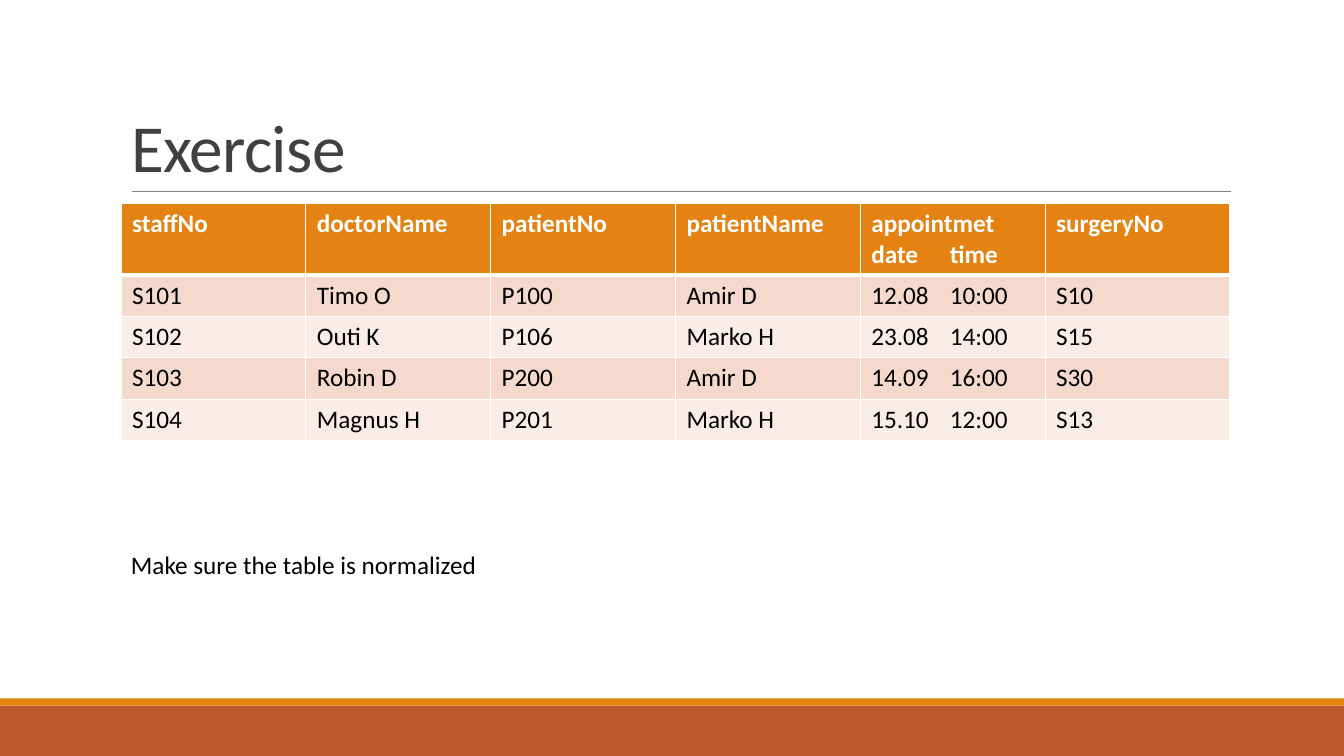
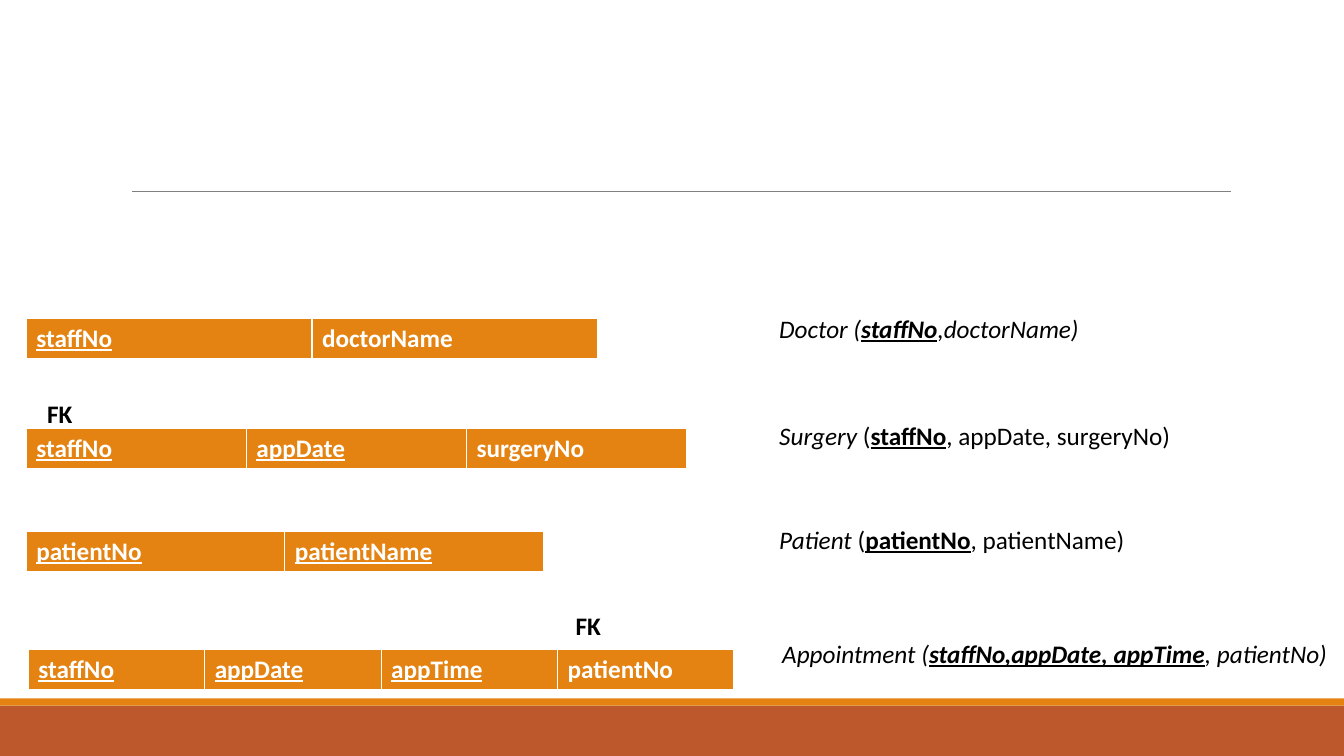
import pptx
import pptx.util
import pptx.dml.color
import pptx.enum.shapes
import pptx.enum.text
import pptx.oxml.ns
from lxml import etree

Inches = pptx.util.Inches
Pt = pptx.util.Pt
qn = pptx.oxml.ns.qn

FONT = "Calibri"
BLACK, WHITE, GREY, DARK = "000000", "FFFFFF", "808080", "404040"
ORANGE, RUST = "E48312", "BD582C"
BANDS = ("F5D9CC", "FAEDE7")
ROW = 0.41

VISITS = [
    ["staffNo", "doctorName", "patientNo", "patientName",
     "appointmet\ndate\ttime", "surgeryNo"],
    ["S101", "Timo O", "P100", "Amir D", "12.08\t10:00", "S10"],
    ["S102", "Outi K", "P106", "Marko H", "23.08\t14:00", "S15"],
    ["S103", "Robin D", "P200", "Amir D", "14.09\t16:00", "S30"],
    ["S104", "Magnus H", "P201", "Marko H", "15.10\t12:00", "S13"],
]

KEY = {"bold": True, "under": True}
SLANT = {"ital": True}
SLANTKEY = {**KEY, **SLANT}

HEADS = [
    (0.26, 3.16, 5.67, ["staffNo", "doctorName"], 1),
    (0.26, 4.25, 6.55, ["staffNo", "appDate", "surgeryNo"], 2),
    (0.26, 5.27, 5.13, ["patientNo", "patientName"], 2),
    (0.28, 6.44, 7, ["staffNo", "appDate", "appTime", "patientNo"], 3),
]

NOTES = [
    (0.37, 3.9, 0.96, [("FK", {"bold": True})]),
    (5.61, 6.01, 0.64, [("FK", {"bold": True})]),
    (7.63, 3.06, 4.79, [("Doctor (", SLANT), ("staffNo", SLANTKEY),
                        (",doctorName)", SLANT)]),
    (7.63, 4.12, 5.93, [("Surgery", SLANT), (" (", {}), ("staffNo", KEY),
                        (", appDate, surgeryNo)", {})]),
    (7.63, 5.15, 5.52, [("Patient", SLANT), (" (", {}), ("patientNo", KEY),
                        (", patientName)", {})]),
    (7.66, 6.28, 5.7, [("Appointment (", SLANT),
                       ("staffNo,appDate, appTime", SLANTKEY),
                       (", patientNo)", SLANT)]),
]


def tint(part, color):
    """Give a fill a solid hex colour."""
    part.solid()
    part.fore_color.rgb = pptx.dml.color.RGBColor.from_string(color)


def write(para, text, size=18, color=BLACK, bold=False, ital=False, under=False):
    """Add one formatted run to a paragraph."""
    run = para.add_run()
    run.text = text
    font = run.font
    font.name, font.size = FONT, Pt(size)
    font.bold, font.italic, font.underline = bold, ital, under
    tint(font.fill, color)
    return run


def band(slide, top, high, color):
    """Draw a band across the full slide width."""
    shape = slide.shapes.add_shape(
        pptx.enum.shapes.MSO_SHAPE.RECTANGLE,
        0, Inches(top), Inches(13.33), Inches(high))
    shape.shadow.inherit = False
    tint(shape.fill, color)
    shape.line.fill.background()


def rule(slide):
    """Draw the thin line under the title area."""
    line = slide.shapes.add_connector(
        pptx.enum.shapes.MSO_CONNECTOR.STRAIGHT,
        Inches(1.31), Inches(1.9), Inches(12.21), Inches(1.9))
    tint(line.line.fill, GREY)
    line.line.width = Pt(0.5)
    etree.SubElement(line._element.spPr, qn("a:effectLst"))


def begin(deck, layout):
    """Add a slide with the shared bands and line."""
    slide = deck.slides.add_slide(deck.slide_layouts[layout])
    band(slide, 7, 0.5, RUST)
    band(slide, 6.93, 0.07, ORANGE)
    rule(slide)
    return slide


def head(slide, text):
    """Place and format the slide title."""
    title = slide.shapes.title
    title.left, title.top = Inches(1.2), Inches(0.31)
    title.width, title.height = Inches(11), Inches(1.59)
    frame = title.text_frame
    frame.vertical_anchor = pptx.enum.text.MSO_ANCHOR.BOTTOM
    para = frame.paragraphs[0]
    para.alignment = pptx.enum.text.PP_ALIGN.LEFT
    para.line_spacing = 0.85
    run = write(para, text, size=48, color=DARK)
    run.font._element.set("spc", "-50")


def label(slide, left, top, width, runs):
    """Add a one-line text box made of formatted runs."""
    box = slide.shapes.add_textbox(
        Inches(left), Inches(top), Inches(width), Inches(0.4))
    box.text_frame.word_wrap = True
    for text, style in runs:
        write(box.text_frame.paragraphs[0], text, **style)


def edge(cell, **widths):
    """Set white cell borders, widths in points by side."""
    props = cell._tc.get_or_add_tcPr()
    for spot, (side, width) in enumerate(widths.items()):
        line = etree.Element(qn(f"a:ln{side}"), w=str(Pt(width)))
        solid = etree.SubElement(line, qn("a:solidFill"))
        etree.SubElement(solid, qn("a:srgbClr"), val=WHITE)
        props.insert(spot, line)


def stop(para, place):
    """Set a left tab stop in a paragraph."""
    tabs = etree.SubElement(para._p.get_or_add_pPr(), qn("a:tabLst"))
    etree.SubElement(tabs, qn("a:tab"), pos=str(Inches(place)), algn="l")


def fill(cell, text, back, inset, **style):
    """Fill a cell with colour and lines of text."""
    cell.margin_left = cell.margin_right = Inches(inset)
    tint(cell.fill, back)
    frame = cell.text_frame
    for spot, line in enumerate(text.split("\n")):
        para = frame.add_paragraph() if spot else frame.paragraphs[0]
        if "\t" in line:
            stop(para, 0.78)
        write(para, line, **style)


def grid(slide, left, top, width, rows, keys=0, inset=0.1, first=ROW):
    """Add a table with a heading row, banded rows and underlined keys."""
    count = len(rows[0])
    high = first + ROW * (len(rows) - 1)
    table = slide.shapes.add_table(
        len(rows), count, Inches(left), Inches(top),
        Inches(width), Inches(high)).table
    for col in table.columns:
        col.width = Inches(width / count)
    for r, row in enumerate(rows):
        table.rows[r].height = Inches(ROW if r else first)
        for c, text in enumerate(row):
            cell = table.cell(r, c)
            if r:
                fill(cell, text, BANDS[(r - 1) % 2], inset)
            else:
                fill(cell, text, ORANGE, inset,
                     color=WHITE, bold=True, under=c < keys)
            edge(cell, L=1, R=1, T=3 if r == 1 else 1, B=1 if r else 3)


def main():
    """Build and save both slides."""
    deck = pptx.Presentation()
    deck.slide_width, deck.slide_height = Inches(13.33), Inches(7.5)

    task = begin(deck, 5)
    head(task, "Exercise")
    grid(task, 1.2, 2.02, 11, VISITS, inset=0.11, first=0.69)
    label(task, 1.2, 5.4, 8.65, [("Make sure the table is normalized", {})])

    answer = begin(deck, 6)
    for left, top, width, names, keys in HEADS:
        grid(answer, left, top, width, [names], keys)
    for note in NOTES:
        label(answer, *note)

    deck.save("out.pptx")


if __name__ == "__main__":
    main()
